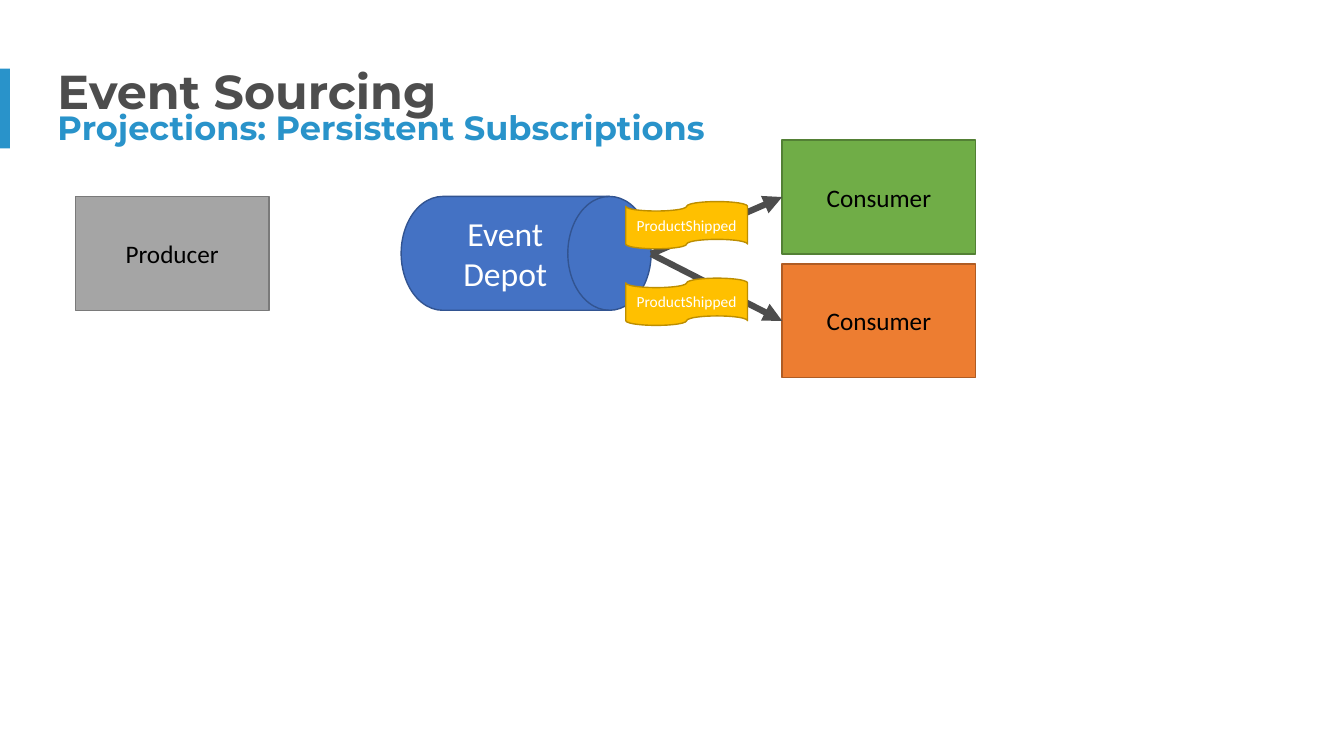
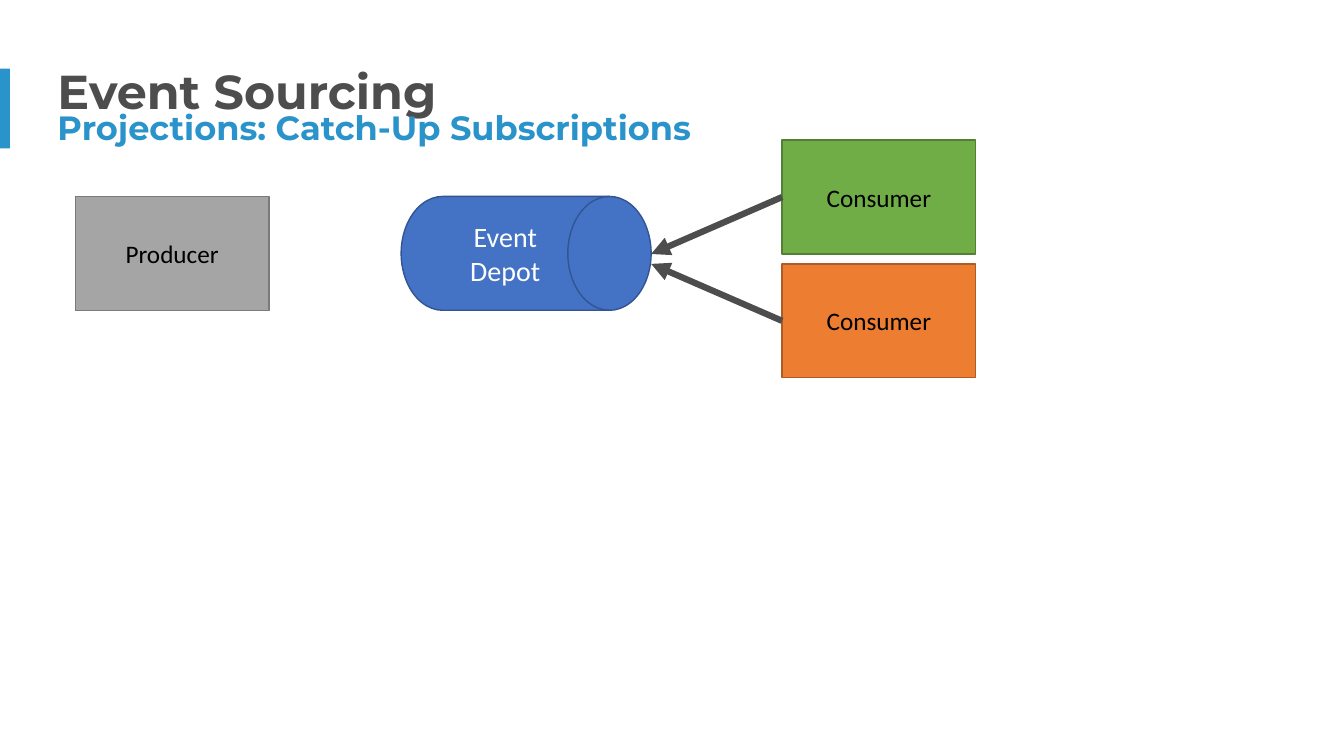
from lxml import etree
from pptx import Presentation
from pptx import util as u
from pptx.dml.color import RGBColor
from pptx.enum import shapes, text
from pptx.oxml.ns import qn

COLOURS = {
    "title": "4D4D4D", "accent": "2993CA", "white": "FFFFFF", "black": "000000",
    "store": "4472C4", "store_edge": "325491",
    "green": "70AD47", "green_edge": "538035",
    "orange": "ED7D31", "orange_edge": "AF5C24",
    "grey": "A5A5A5", "grey_edge": "7A7A7A",
    "event": "FFC000", "event_edge": "BD8E00",
}
COLOURS = {name: RGBColor.from_string(value) for name, value in COLOURS.items()}
KINDS = shapes.MSO_SHAPE

# Diagram grid, in centimetres
BOX_WIDTH, BOX_HEIGHT = 4.88, 2.87
PRODUCER_LEFT, STORE_LEFT, CONSUMER_LEFT = 1.9, 10.11, 19.71
STORE_TOP, STORE_WIDTH = 4.95, 6.3
STORE_RIGHT = STORE_LEFT + STORE_WIDTH
CONSUMERS = [("green", 3.53), ("orange", 6.7 - 0.05)]
EVENT_LEFT, EVENT_WIDTH, EVENT_HEIGHT = 15.77, 3.07, 1.19

SLIDES = [
    {"subtitle": "Projections: Persistent Subscriptions", "subtitle_width": 16.51,
     "store": "Event Depot", "store_size": 24, "pushed": True,
     "store_ends": [6.4, 6.4], "event_tops": [5.08, 7.01]},
    {"subtitle": "Projections: Catch-Up Subscriptions", "subtitle_width": 16.15,
     "store": "Event\nDepot", "store_size": 20, "pushed": False,
     "store_ends": [6.4, 6.65], "event_tops": []},
]


def style_text(frame, wording, size, colour, font="Calibri", bold=False, align=None):
    """Fill a text frame and give all its runs one style."""
    frame.text = wording
    for paragraph in frame.paragraphs:
        paragraph.alignment = align
        for run in paragraph.runs:
            run.font.name, run.font.size, run.font.bold = font, u.Pt(size), bold
            run.font.color.rgb = COLOURS[colour]


def add_block(slide, kind, left, top, width, height, fill, wording="", size=18, colour="black"):
    """Add a filled shape, outlined and labelled when it has wording."""
    block = slide.shapes.add_shape(kind, u.Cm(left), u.Cm(top), u.Cm(width), u.Cm(height))
    block.shadow.inherit = False
    block.fill.solid()
    block.fill.fore_color.rgb = COLOURS[fill]
    if not wording:
        block.line.fill.background()
        return
    block.line.color.rgb = COLOURS[fill + "_edge"]
    block.line.width = u.Pt(1)
    block.text_frame.vertical_anchor = text.MSO_ANCHOR.MIDDLE
    style_text(block.text_frame, wording, size, colour, align=text.PP_ALIGN.CENTER)


presentation = Presentation()
presentation.slide_width, presentation.slide_height = u.Cm(33.87), u.Cm(19.05)

for content in SLIDES:
    slide = presentation.slides.add_slide(presentation.slide_layouts[6])

    # Heading
    add_block(slide, KINDS.RECTANGLE, 0, 1.73, 0.25, 2.01, "accent")
    for wording, top, width, height, size, colour in [
        ("Event Sourcing", 1.57, 9.7, 1.45, 34, "title"),
        (content["subtitle"], 2.69, content["subtitle_width"], 1.02, 24, "accent"),
    ]:
        heading = slide.shapes.add_textbox(u.Cm(1.45), u.Cm(top), u.Cm(width), u.Cm(height))
        frame = heading.text_frame
        frame.margin_left = frame.margin_right = frame.margin_top = frame.margin_bottom = 0
        frame.word_wrap = False
        frame.auto_size = text.MSO_AUTO_SIZE.SHAPE_TO_FIT_TEXT
        style_text(frame, wording, size, colour, font="Montserrat", bold=True)

    # Producer, store and consumers
    add_block(slide, KINDS.RECTANGLE, PRODUCER_LEFT, STORE_TOP, BOX_WIDTH, BOX_HEIGHT,
              "grey", "Producer")
    add_block(slide, KINDS.FLOWCHART_DIRECT_ACCESS_STORAGE, STORE_LEFT, STORE_TOP,
              STORE_WIDTH, BOX_HEIGHT, "store", content["store"], content["store_size"], "white")
    for (fill, top), store_end in zip(CONSUMERS, content["store_ends"]):
        add_block(slide, KINDS.RECTANGLE, CONSUMER_LEFT, top, BOX_WIDTH, BOX_HEIGHT,
                  fill, "Consumer")
        ends = [(STORE_RIGHT, store_end), (CONSUMER_LEFT, top + BOX_HEIGHT / 2)]
        start, finish = ends if content["pushed"] else reversed(ends)
        arrow = slide.shapes.add_connector(
            shapes.MSO_CONNECTOR.STRAIGHT, *[u.Cm(value) for value in (*start, *finish)])
        arrow.line.color.rgb = COLOURS["title"]
        arrow.line.width = u.Pt(4.5)
        etree.SubElement(arrow.line._get_or_add_ln(), qn("a:tailEnd"), type="triangle")
        etree.SubElement(arrow._element.spPr, qn("a:effectLst"))

    # Events on their way to the consumers
    for top in content["event_tops"]:
        add_block(slide, KINDS.FLOWCHART_PUNCHED_TAPE, EVENT_LEFT, top, EVENT_WIDTH,
                  EVENT_HEIGHT, "event", "ProductShipped", 11, "white")

presentation.save("out.pptx")
